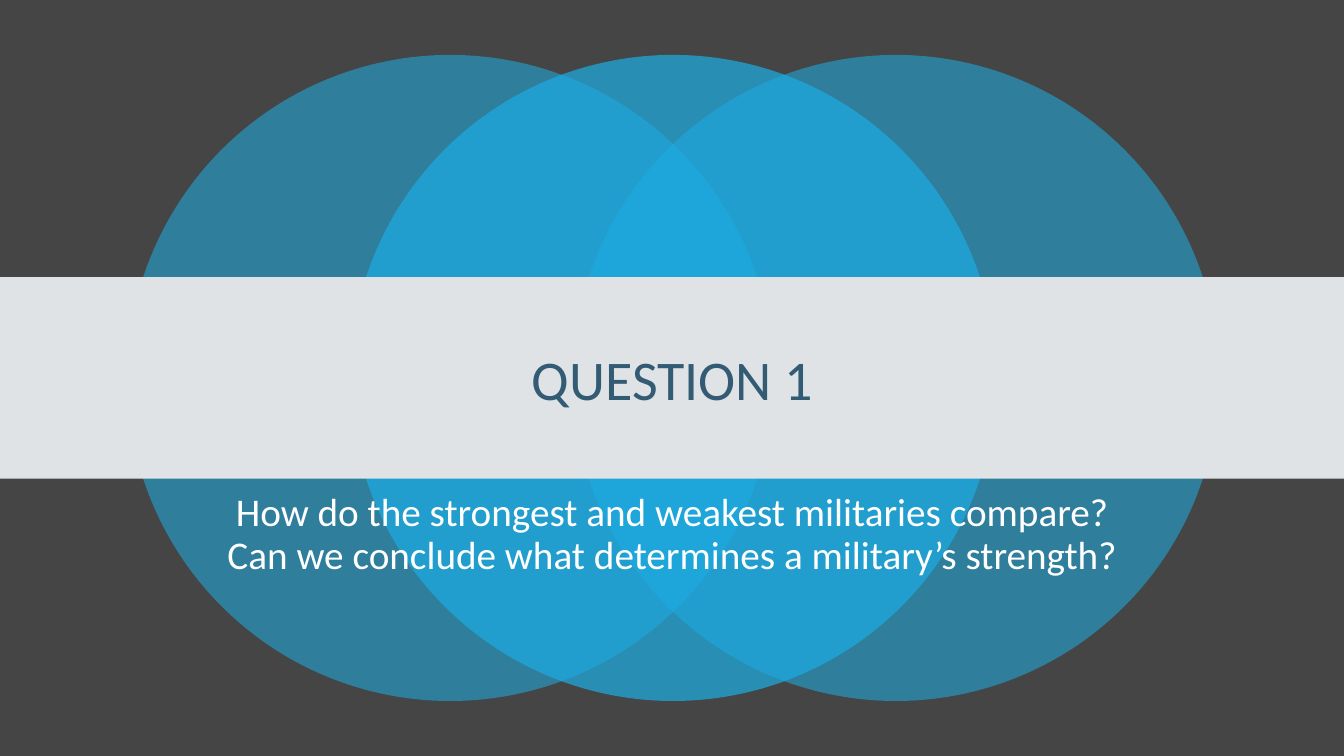
from lxml import etree
from pptx import Presentation
from pptx.dml.color import RGBColor
from pptx.enum.shapes import MSO_SHAPE
from pptx.enum.text import MSO_ANCHOR, PP_ALIGN
from pptx.oxml.ns import qn
from pptx.util import Inches, Pt

OVAL, RECT = MSO_SHAPE.OVAL, MSO_SHAPE.RECTANGLE
CENTER, TOP, MIDDLE = PP_ALIGN.CENTER, MSO_ANCHOR.TOP, MSO_ANCHOR.MIDDLE
W, H = 13.33, 7.5


def color(value):
    return RGBColor.from_string(value)


def add_filled(kind, box, fill):
    sp = slide.shapes.add_shape(kind, *map(Inches, box))
    sp.shadow.inherit = False
    sp.line.fill.background()
    sp.fill.solid()
    sp.fill.fore_color.rgb = color(fill)
    return sp


prs = Presentation()
prs.slide_width, prs.slide_height = Inches(W), Inches(H)
slide = prs.slides.add_slide(prs.slide_layouts[6])
slide.background.fill.solid()
slide.background.fill.fore_color.rgb = color("454545")

# Overlapping circles: outer two first, the denser middle one on top
diameter, first_left, pitch = 6.41, 1.26, 2.21
for column, opacity in ((0, 55), (2, 55), (1, 70)):
    box = (first_left + column * pitch, (H - diameter) / 2, diameter, diameter)
    sp = add_filled(OVAL, box, "1CADE4")
    rgb = sp.fill._xPr.find(".//" + qn("a:srgbClr"))
    etree.SubElement(rgb, qn("a:alpha"), val=str(opacity * 1000))

# Full-width band
add_filled(RECT, (0, 2.75, W, 2), "DFE3E5")

# Question and title
texts = (
    ("How do the strongest and weakest militaries compare? "
     "Can we conclude what determines a military’s strength?",
     (1.95, 4.84, 9.43, 1.29), TOP, 10, {"size": Pt(28)}, "FFFFFF"),
    ("QUESTION 1", (1.67, 3.04, 10, 1.51), MIDDLE, 0, {"size": Pt(40)}, "335B74"),
)
for text, box, anchor, before, font, ink in texts:
    tf = slide.shapes.add_textbox(*map(Inches, box)).text_frame
    tf.word_wrap = True
    tf.vertical_anchor = anchor
    p = tf.paragraphs[0]
    paragraph = {"alignment": CENTER, "line_spacing": 0.9, "space_before": Pt(before)}
    for name, value in paragraph.items():
        setattr(p, name, value)
    r = p.add_run()
    r.text = text
    for name, value in {"name": "Calibri", **font}.items():
        setattr(r.font, name, value)
    r.font.color.rgb = color(ink)

prs.save("out.pptx")
